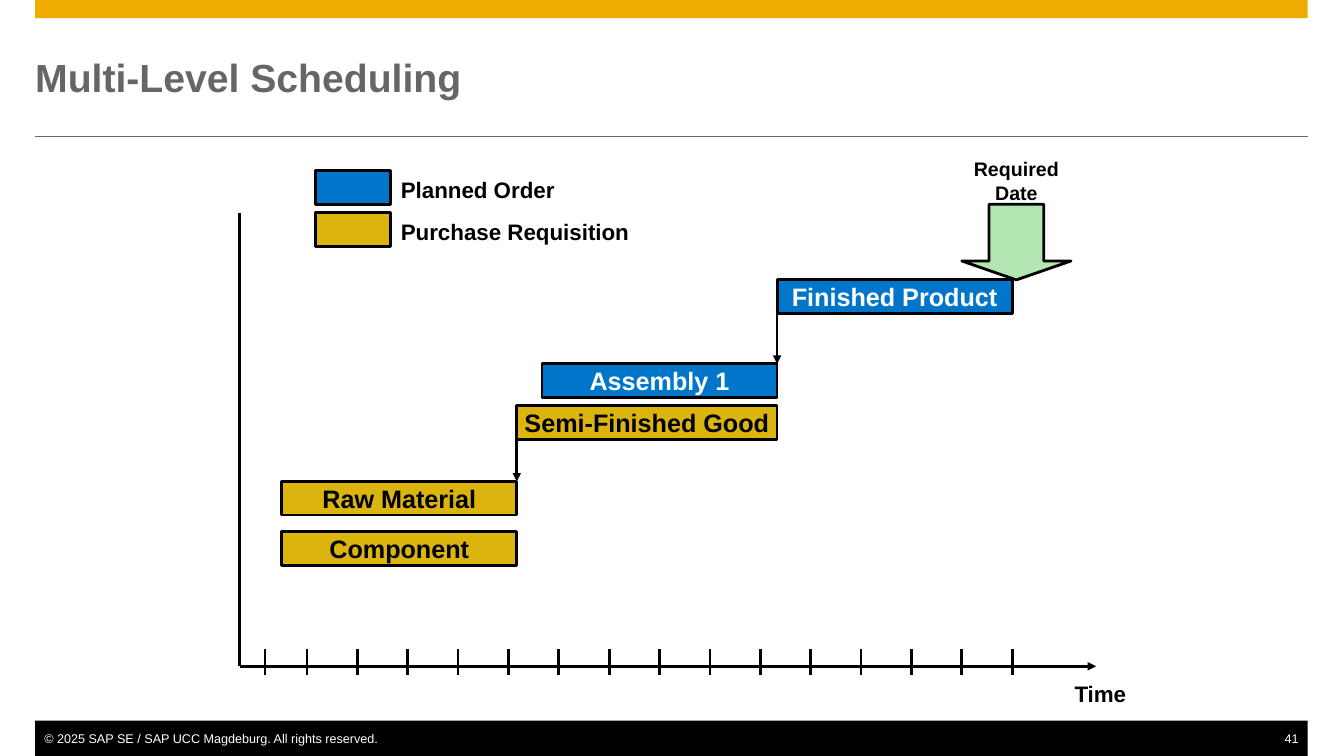
from dataclasses import dataclass

from lxml.etree import SubElement
from pptx import Presentation
from pptx.dml.color import RGBColor
from pptx.enum.shapes import MSO_CONNECTOR as CONN, MSO_SHAPE as SHAPE
from pptx.enum.text import MSO_ANCHOR as ANCHOR, MSO_AUTO_SIZE as AUTO, PP_ALIGN as ALIGN
from pptx.oxml.ns import qn
from pptx.util import Emu, Inches, Pt


@dataclass(frozen=True)
class Theme:
    font: str = "Arial"
    accent: str = "F0AB00"
    grey: str = "666666"
    black: str = "000000"
    white: str = "FFFFFF"
    planned: str = "0076CB"
    purchase: str = "DBB40D"
    required: str = "B2E6B2"
    title: int = 28
    block: int = 18
    label: int = 16
    date: int = 14
    footer: int = 9
    stroke: float = 2
    hairline: float = 0.5


class ScheduleSlide:
    ORIGIN = Inches(2.38), Inches(2.11)  # top of the vertical axis
    CELL = Inches(1) // 12

    def __init__(self, prs, theme):
        self.theme = theme
        self.size = prs.slide_width, prs.slide_height
        self.slide = prs.slides.add_slide(prs.slide_layouts[5])

    def grid(self, col, row, cols, rows):
        """Turn chart columns and rows into left, top, width, height."""
        x, y = self.ORIGIN
        return [Emu(round(v)) for v in (x + col * self.CELL, y + row * self.CELL,
                                        cols * self.CELL, rows * self.CELL)]

    def share(self, *percents):
        """Turn percentages of the slide into left, top, width, height."""
        return [Emu(round(p * side / 100)) for p, side in zip(percents, self.size * 2)]

    def set_text(self, shape, text, *, size, color, bold=True, align=ALIGN.LEFT,
                 anchor=ANCHOR.TOP, wrap=True, margins=None):
        tf = shape.text_frame
        tf.text = text
        tf.word_wrap, tf.auto_size, tf.vertical_anchor = wrap, AUTO.NONE, anchor
        if margins:
            tf.margin_left, tf.margin_top, tf.margin_right, tf.margin_bottom = map(Inches, margins)
        for p in tf.paragraphs:
            p.alignment = align
            for r in p.runs:
                r.font.name, r.font.size, r.font.bold = self.theme.font, Pt(size), bold
                r.font.color.rgb = RGBColor.from_string(color)

    def title(self, box, text):
        sp = self.slide.shapes.title
        sp.left, sp.top, sp.width, sp.height = box
        self.set_text(sp, text, size=self.theme.title, color=self.theme.grey,
                      anchor=ANCHOR.MIDDLE, margins=(0, 0, 0, 0))

    def text(self, box, text, **fmt):
        self.set_text(self.slide.shapes.add_textbox(*box), text, **fmt)

    def shape(self, box, fill, *, kind=SHAPE.RECTANGLE, outline=True):
        sp = self.slide.shapes.add_shape(kind, *box)
        sp.shadow.inherit = False
        sp.fill.solid()
        sp.fill.fore_color.rgb = RGBColor.from_string(fill)
        if outline:
            sp.line.color.rgb = RGBColor.from_string(self.theme.black)
            sp.line.width = Pt(self.theme.stroke)
        else:
            sp.line.fill.background()
        return sp

    def block(self, box, text, fill, color):
        self.set_text(self.shape(box, fill), text, size=self.theme.block, color=color,
                      align=ALIGN.CENTER, anchor=ANCHOR.MIDDLE, wrap=False)

    def line(self, box, *, color=None, width=None, arrow=False):
        x, y, w, h = box
        cxn = self.slide.shapes.add_connector(CONN.STRAIGHT, x, y, x + w, y + h)
        cxn.line.color.rgb = RGBColor.from_string(color or self.theme.black)
        cxn.line.width = Pt(width or self.theme.stroke)
        props = cxn.element.spPr
        if arrow:
            SubElement(props.find(qn("a:ln")), qn("a:tailEnd"), type="triangle")
        SubElement(props, qn("a:effectLst"))


def add_frame(s, t):
    left, width = 2.62, 94.68
    s.shape(s.share(left, 0, width, 2.4), t.accent, outline=False)
    s.line(s.share(left, 18, width, 0), color=t.grey, width=t.hairline)
    s.shape(s.share(left, 95.33, width, 4.67), t.black, outline=False)
    small = dict(size=t.footer, color=t.white, bold=False, wrap=False)
    s.text(s.share(left, 96.67, 25.86, 2),
           "© 2025 SAP SE / SAP UCC Magdeburg. All rights reserved.",
           margins=(0.09, 0, 0, 0), **small)
    s.text(s.share(95.43, 96.67, 1.87, 2), "41", align=ALIGN.RIGHT,
           margins=(0, 0, 0.09, 0), **small)
    s.title(s.share(left, 4.67, width, 11.07), "Multi-Level Scheduling")


def add_axes(s, t):
    s.line(s.grid(0, 0, 0, 54))
    s.line(s.grid(0, 54, 102, 0), arrow=True)
    for col in (3, *range(8, 93, 6)):
        s.line(s.grid(col, 52, 0, 3))
    s.text(s.grid(92, 55, 21, 4.4), "Time", size=t.label, color=t.black, align=ALIGN.CENTER)


def add_schedule(s, t):
    planned, purchase = (t.planned, t.white), (t.purchase, t.black)
    for text, col, row, cols, colors in (
        ("Finished Product", 64, 8, 28, planned),
        ("Assembly 1", 36, 18, 28, planned),
        ("Semi-Finished Good", 33, 23, 31, purchase),
        ("Raw Material", 5, 32, 28, purchase),
        ("Component", 5, 38, 28, purchase),
    ):
        s.block(s.grid(col, row, cols, 4), text, *colors)
    for col, row, rows in ((64, 8, 10), (33, 23, 9)):
        s.line(s.grid(col, row, 0, rows), arrow=True)
    arrow = s.shape(s.grid(86, -1, 13, 9), t.required, kind=SHAPE.DOWN_ARROW)
    arrow.adjustments[0], arrow.adjustments[1] = 0.5, 0.25
    s.text(s.grid(82.5, -7.2, 20, 6.8), "Required\nDate", size=t.date, color=t.black,
           align=ALIGN.CENTER)


def add_legend(s, t):
    for row, text, fill in ((-5, "Planned Order", t.planned),
                            (0, "Purchase Requisition", t.purchase)):
        s.shape(s.grid(9, row, 9, 4), fill)
        s.text(s.grid(18, row, 39, 4.4), text, size=t.label, color=t.black)


def main():
    prs = Presentation()
    prs.slide_width, prs.slide_height = Inches(13.34), Inches(7.5)
    t = Theme()
    s = ScheduleSlide(prs, t)
    for add_part in (add_frame, add_axes, add_schedule, add_legend):
        add_part(s, t)
    prs.save("out.pptx")


if __name__ == "__main__":
    main()
